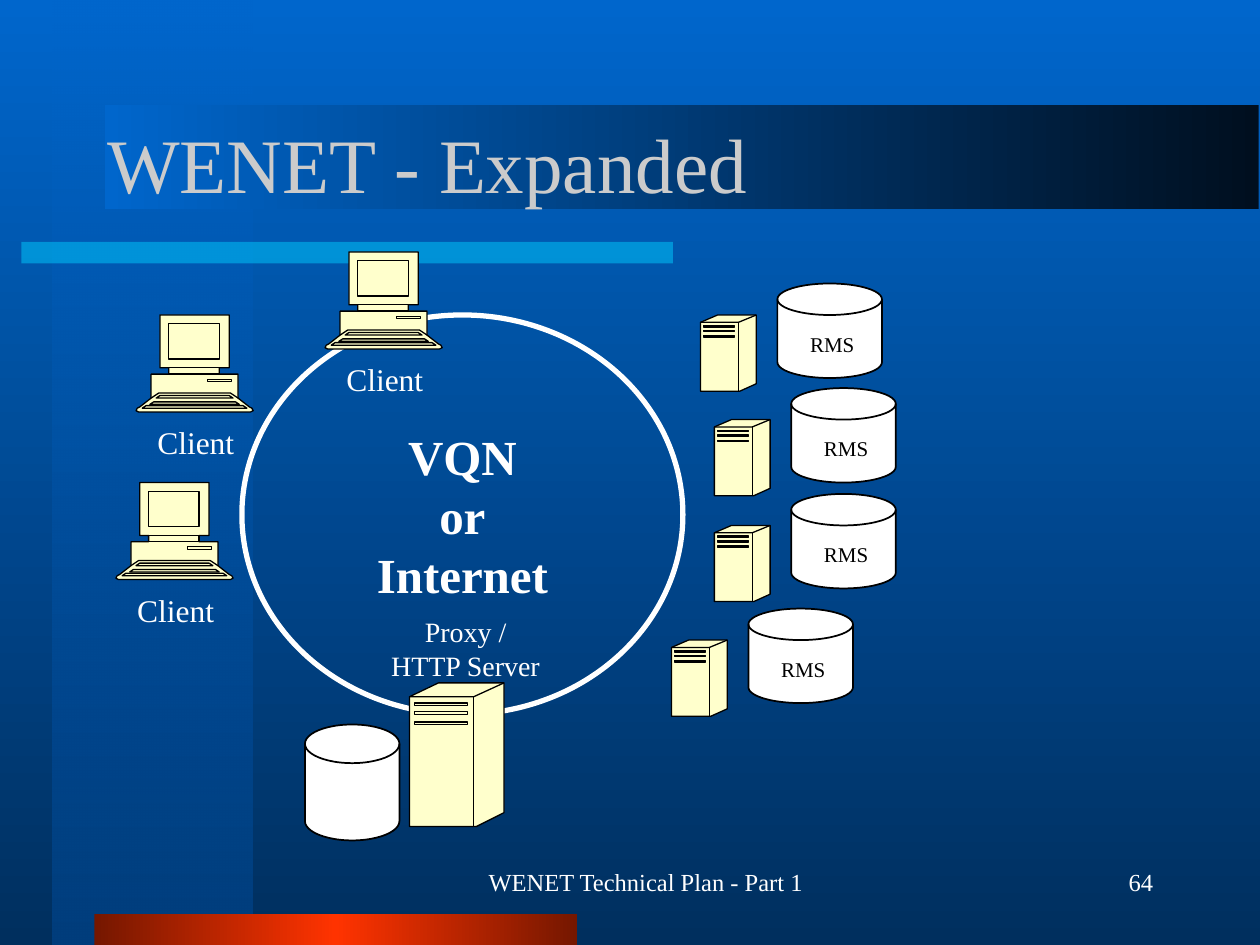
from lxml.etree import SubElement
from pptx import Presentation
from pptx.dml.color import RGBColor
from pptx.enum.shapes import MSO_SHAPE
from pptx.enum.text import MSO_ANCHOR, PP_ALIGN
from pptx.oxml.ns import qn
from pptx.util import Inches, Pt

COLORS = {
    "sky": "0066CC", "deep": "002F5E", "stripe": "003E7D", "night": "000F1F",
    "accent": "00CCFF", "red": "FF3300", "maroon": "751700",
    "title": "CBCBCB", "white": "FFFFFF", "black": "000000", "cream": "FFFFCC",
}
FONT = "Times New Roman"
UNIT = Inches(0.01)


def rgb(name):
    return RGBColor.from_string(COLORS[name])


def ring(*points):
    return [*points, points[0]]


def box(left, top, right, bottom):
    return ring((left, top), (right, top), (right, bottom), (left, bottom))


COMPUTER = [
    ring((90, 73), (81, 66), (81, 47), (66, 47), (66, 42), (74, 42), (74, 0),
         (19, 0), (19, 42), (26, 42), (26, 47), (12, 47), (12, 66), (3, 73),
         (1, 74), (0, 76), (2, 77), (91, 77), (93, 76), (92, 74)),
    ring((77, 66), (74, 64), (19, 64), (16, 66)),
    ring((82, 71), (79, 69), (14, 69), (11, 71)),
    ring((88, 74), (85, 72), (8, 72), (5, 74)),
    [(81, 66), (75, 62), (18, 62), (12, 66)],
    box(57, 51, 76, 53),
    box(26, 7, 66, 35),
    box(26, 42, 66, 47),
]
SERVER = [
    ring((0, 11), (23, 0), (75, 0), (75, 103), (53, 114), (0, 114)),
    [(0, 11), (51, 11), (75, 0)],
    [(51, 11), (51, 114)],
    *[box(4, y, 46, y + 2) for y in (16, 23, 31)],
]


def set_text(sp, text, size, color="white", bold=False, align=PP_ALIGN.LEFT,
             wrap=False, anchor=MSO_ANCHOR.TOP, left_inset=0.1):
    tf = sp.text_frame
    tf.word_wrap = wrap
    tf.vertical_anchor = anchor
    tf.margin_left = Inches(left_inset)
    p = tf.paragraphs[0]
    p.alignment = align
    for i, line in enumerate(text.split("\n")):
        if i:
            p.add_line_break()
        r = p.add_run()
        r.text = line
        r.font.name = FONT
        r.font.size = Pt(size)
        r.font.bold = bold
        r.font.color.rgb = rgb(color)


def add_text(shapes, text, at, size, **fmt):
    sp = shapes.add_textbox(*map(Inches, at))
    set_text(sp, text, size, **fmt)


def style(sp, fill=None, line=None, width=1):
    sp.shadow.inherit = False
    if fill:
        sp.fill.solid()
        sp.fill.fore_color.rgb = rgb(fill)
    else:
        sp.fill.background()
    if line:
        sp.line.color.rgb = rgb(line)
        sp.line.width = Pt(width)
    else:
        sp.line.fill.background()


def add_shape(shapes, kind, at, **look):
    sp = shapes.add_shape(kind, *map(Inches, at))
    style(sp, **look)
    return sp


def set_alpha(color_element, percent):
    SubElement(color_element, qn("a:alpha"), val=str(percent * 1000))


def set_gradient(fill, root, names, angle, first_alpha=None):
    fill.gradient()
    fill.gradient_angle = angle
    stops = next(root.iter(qn("a:gsLst")))
    for gs in list(stops):
        stops.remove(gs)
    for i, name in enumerate(names):
        gs = SubElement(stops, qn("a:gs"), pos=str(i * 100000 // (len(names) - 1)))
        color = SubElement(gs, qn("a:srgbClr"), val=COLORS[name])
        if first_alpha and i == 0:
            set_alpha(color, first_alpha)


def add_gradient_bar(shapes, at, names, angle, first_alpha=None):
    sp = add_shape(shapes, MSO_SHAPE.RECTANGLE, at)
    set_gradient(sp.fill, sp.element, names, angle, first_alpha)


def split_paths(sp):
    path = next(sp.element.iter(qn("a:path")))
    target = path
    for i, step in enumerate(list(path)):
        if i and step.tag == qn("a:moveTo"):
            target = SubElement(path.getparent(), qn("a:path"), w=path.get("w"),
                                h=path.get("h"), fill="none")
        if target is not path:
            target.append(step)


def add_icon(shapes, contours, x, y, scale=(1, 1)):
    first, *details = contours
    fb = shapes.build_freeform(*first[0], scale=tuple(UNIT * k for k in scale))
    fb.add_line_segments(first[1:], close=False)
    for points in details:
        fb.move_to(*points[0])
        fb.add_line_segments(points[1:], close=False)
    sp = fb.convert_to_shape(Inches(x), Inches(y))
    split_paths(sp)
    style(sp, "cream", "black", 0.75)


def add_disk(shapes, at):
    add_shape(shapes, MSO_SHAPE.FLOWCHART_MAGNETIC_DISK, at,
              fill="white", line="black")


def add_client(s, x, y):
    shapes = s.shapes.add_group_shape().shapes
    add_icon(shapes, COMPUTER, x, y)
    add_text(shapes, "Client", (x + 0.07, y + 0.81, 0.81, 0.4), 18)


def add_rms(s, x, y):
    shapes = s.shapes.add_group_shape().shapes
    add_icon(shapes, SERVER, x, y, (0.59, 0.53))
    add_disk(shapes, (x + 0.61, y - 0.25, 0.83, 0.75))
    add_text(shapes, "RMS", (x + 0.77, y + 0.08, 0.55, 0.3), 12,
             color="black", align=PP_ALIGN.CENTER)


def add_backdrop(s):
    set_gradient(s.background.fill, s.element, ["sky", "deep"], 270)
    add_gradient_bar(s.shapes, (0.42, 0, 1.58, 7.5), ["sky", "stripe"], 270, 50)
    bar = add_shape(s.shapes, MSO_SHAPE.RECTANGLE, (0.17, 1.92, 5.17, 0.17),
                    fill="accent")
    set_alpha(next(bar.element.spPr.iter(qn("a:srgbClr"))), 50)
    add_gradient_bar(s.shapes, (0.75, 7.25, 3.83, 0.25),
                     ["maroon", "red", "maroon"], 180)
    add_gradient_bar(s.shapes, (0.83, 0.83, 9.16, 0.83), ["night", "sky"], 180)


def add_title(s, text):
    title = s.shapes.title
    title.left, title.top, title.width, title.height = map(
        Inches, (0.75, 0.67, 8.5, 1.25))
    set_text(title, text, 44, color="title", wrap=True, anchor=MSO_ANCHOR.MIDDLE)
    title.element.getparent().append(title.element)


def main():
    prs = Presentation()
    prs.slide_width, prs.slide_height = Inches(10), Inches(7.5)
    s = prs.slides.add_slide(prs.slide_layouts[5])
    add_backdrop(s)
    add_title(s, "WENET - Expanded")

    add_client(s, 1.08, 2.5)
    network = add_shape(s.shapes, MSO_SHAPE.OVAL, (1.92, 2.5, 3.5, 3.17),
                        line="white", width=3)
    set_text(network, "VQN\nor\nInternet", 28, bold=True,
             align=PP_ALIGN.CENTER, anchor=MSO_ANCHOR.MIDDLE)
    add_icon(s.shapes, SERVER, 3.25, 5.42)
    add_disk(s.shapes, (2.42, 5.75, 0.75, 0.92))
    add_text(s.shapes, "Proxy /\nHTTP Server", (3, 4.83, 1.39, 0.64), 16,
             align=PP_ALIGN.CENTER)
    for x, y in ((0.92, 3.83), (2.58, 2)):
        add_client(s, x, y)
    for x, y in ((5.56, 2.5), (5.67, 3.33), (5.67, 4.17), (5.33, 5.08)):
        add_rms(s, x, y)

    footer = {"wrap": True, "anchor": MSO_ANCHOR.MIDDLE, "left_inset": 0.34}
    add_text(s.shapes, "WENET Technical Plan - Part 1", (3.42, 6.75, 3.17, 0.5),
             14, align=PP_ALIGN.CENTER, **footer)
    add_text(s.shapes, "64", (7.17, 6.75, 2.08, 0.5), 14,
             align=PP_ALIGN.RIGHT, **footer)
    prs.save("out.pptx")


if __name__ == "__main__":
    main()
